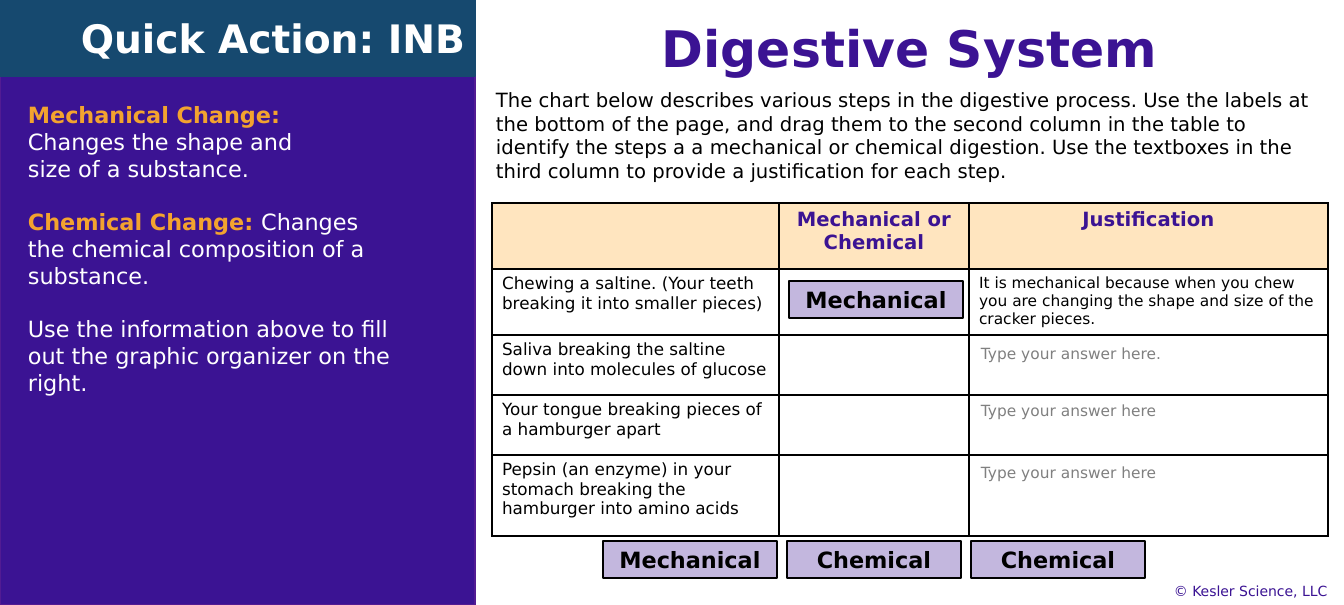
from lxml.etree import SubElement
from pptx import Presentation
from pptx.dml.color import RGBColor
from pptx.enum.shapes import MSO_SHAPE as Preset
from pptx.enum.text import MSO_ANCHOR as Anchor, PP_ALIGN as Align
from pptx.oxml import parse_xml
from pptx.oxml.ns import nsdecls, qn
from pptx.util import Pt

PX = 914400 / 100.8
FONT = "DejaVu Sans"
PURPLE, TEAL, ORANGE, CREAM = "3B1393", "16496F", "F3A32F", "FFE5BF"
WHITE, BLACK, GRAY, PLUM = "FFFFFF", "000000", "808080", "521B93"

# Content: a paragraph is a list of (text, format) runs
BANNER = {"size": 28, "color": WHITE, "bold": True}
TITLE = {"size": 36, "color": PURPLE, "bold": True}
TERM = {"size": 16, "color": ORANGE, "bold": True}
NOTE = {"size": 16, "color": WHITE}
INTRO = {"size": 14, "color": BLACK}
CREDIT = {"size": 10, "color": PURPLE}
HEADER = {"size": 14, "color": PURPLE, "bold": True}
STEP = {"size": 12, "color": BLACK}
REASON = {"size": 11, "color": BLACK}
LABEL = {"size": 16, "color": BLACK, "bold": True}
PROMPT = {"size": 11, "color": GRAY}

DEFINITIONS = [
    [("Mechanical Change: \n", TERM),
     ("Changes the shape and \nsize of a substance.", NOTE)],
    [("Chemical Change: ", TERM),
     ("Changes the chemical composition of a substance.", NOTE)],
    [("Use the information above to fill out the graphic organizer on the right.", NOTE)],
]
INSTRUCTIONS = (
    "The chart below describes various steps in the digestive process. Use the labels at "
    "the bottom of the page, and drag them to the second column in the table to identify "
    "the steps a a mechanical or chemical digestion. Use the textboxes in the third column "
    "to provide a justification for each step.")
TABLE = [
    ("", "Mechanical or Chemical", "Justification"),
    ("Chewing a saltine. (Your teeth breaking it into smaller pieces)", "",
     "It is mechanical because when you chew you are changing the shape and size of the "
     "cracker pieces."),
    ("Saliva breaking the saltine down into molecules of glucose", "", ""),
    ("Your tongue breaking pieces of a hamburger apart", "", ""),
    ("Pepsin (an enzyme) in your stomach breaking the hamburger into amino acids", "", ""),
]
COLUMNS, ROWS = (287, 190, 359), (66, 66, 60, 60, 81)
PLACED_LABEL = ("Mechanical", 789, 281)
LOOSE_LABELS = ["Mechanical", "Chemical", "Chemical"]
PROMPTS = [("Type your answer here.", 339), ("Type your answer here", 396),
           ("Type your answer here", 458)]


def px(value):
    return round(value * PX)


def rgb(color):
    return RGBColor.from_string(color)


def write(frame, paragraphs, align=Align.LEFT, gap=0):
    for index, runs in enumerate(paragraphs):
        paragraph = frame.paragraphs[0] if index == 0 else frame.add_paragraph()
        paragraph.alignment = align
        if index:
            paragraph.space_before = Pt(gap)
        for text, style in runs:
            for number, line in enumerate(text.split("\n")):
                if number:
                    paragraph.add_line_break()
                if not line:
                    continue
                run = paragraph.add_run()
                run.text = line
                values = {"name": FONT, "size": Pt(style["size"]),
                          "bold": style.get("bold", False)}
                for name, value in values.items():
                    setattr(run.font, name, value)
                run.font.color.rgb = rgb(style["color"])


def add_text(box, paragraphs, align=Align.LEFT, gap=0, **settings):
    frame = slide.shapes.add_textbox(*map(px, box)).text_frame
    for name, value in {"word_wrap": True, **settings}.items():
        setattr(frame, name, value)
    write(frame, paragraphs, align, gap)


def add_box(box, fill, line=None, runs=None, align=Align.CENTER, anchor=Anchor.MIDDLE,
            alpha=None):
    shape = slide.shapes.add_shape(Preset.RECTANGLE, *map(px, box))
    shape.shadow.inherit = False
    shape.fill.solid()
    shape.fill.fore_color.rgb = rgb(fill)
    if alpha:
        color = shape.fill._xPr.find(qn("a:solidFill"))[0]
        SubElement(color, qn("a:alpha")).set("val", str(alpha * 1000))
    if line:
        shape.line.color.rgb = rgb(line)
        shape.line.width = Pt(1)
    else:
        shape.line.fill.background()
    if runs:
        shape.text_frame.word_wrap = True
        shape.text_frame.vertical_anchor = anchor
        write(shape.text_frame, [runs], align)


def add_label(text, left, top):
    add_box((left, top, 174, 37), PURPLE, BLACK, [(text, LABEL)], alpha=30)


def add_borders(cell):
    properties = cell._tc.get_or_add_tcPr()
    for side in ("lnL", "lnR", "lnT", "lnB"):
        properties.append(parse_xml(
            f'<a:{side} {nsdecls("a")} w="12700"><a:solidFill>'
            f'<a:srgbClr val="{BLACK}"/></a:solidFill></a:{side}>'))


presentation = Presentation()
presentation.slide_width, presentation.slide_height = px(1344), px(605)
slide = presentation.slides.add_slide(presentation.slide_layouts[6])

# Left panel
add_box((0, 0, 475, 605), PURPLE, PLUM)
add_box((0, 0, 475, 76), TEAL, TEAL, [("Quick Action: INB", BANNER)], Align.RIGHT)
add_text((18, 96, 384, 420), DEFINITIONS, gap=19)

# Title, instructions and copyright
add_text((475, 2, 869, 80), [[("Digestive System", TITLE)]], Align.CENTER,
         vertical_anchor=Anchor.BOTTOM, margin_left=px(8), margin_right=px(8),
         margin_top=px(4), margin_bottom=px(4))
add_text((486, 83, 842, 113), [[(INSTRUCTIONS, INTRO)]])
add_text((1164, 578, 197, 27), [[("© Kesler Science, LLC", CREDIT)]])

# Organizer table
table = slide.shapes.add_table(
    len(ROWS), len(COLUMNS), *map(px, (492, 203, sum(COLUMNS), sum(ROWS)))).table
for column, width in zip(table.columns, COLUMNS):
    column.width = px(width)
for row, height in zip(table.rows, ROWS):
    row.height = px(height)
for r, texts in enumerate(TABLE):
    for c, text in enumerate(texts):
        cell = table.cell(r, c)
        add_borders(cell)
        if r == 0:
            cell.fill.solid()
            cell.fill.fore_color.rgb = rgb(CREAM)
        else:
            cell.fill.background()
        style = HEADER if r == 0 else REASON if c == 2 else STEP
        write(cell.text_frame, [[(text, style)]], Align.CENTER if r == 0 else Align.LEFT)

# Draggable labels
add_label(*PLACED_LABEL)
for index, text in enumerate(LOOSE_LABELS):
    add_label(text, 603 + 184 * index, 541)

# Answer boxes
for text, top in PROMPTS:
    add_box((971, top, 342, 29), WHITE, runs=[(text, PROMPT)], align=Align.LEFT,
            anchor=Anchor.TOP)

presentation.save("out.pptx")
